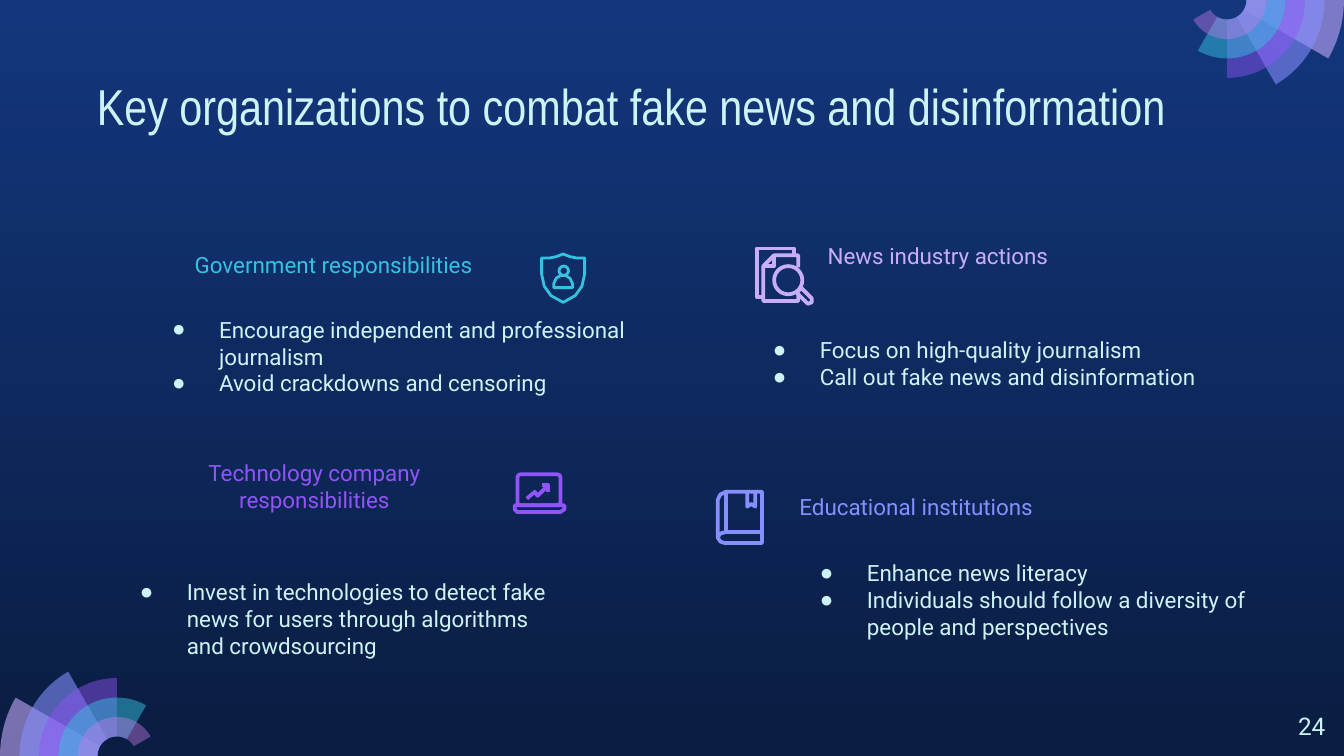
from math import cos, radians, sin

from lxml.etree import SubElement
from pptx import Presentation
from pptx.dml.color import RGBColor
from pptx.enum.shapes import MSO_SHAPE
from pptx.enum.text import MSO_ANCHOR, MSO_AUTO_SIZE, PP_ALIGN
from pptx.oxml.ns import qn
from pptx.util import Inches, Pt

WIDE = 10
TALL = WIDE * 9 / 16

PALE, TEAL, VIOLET = "CEF3F5", "35C2DF", "9154F8"
LILAC, BLUE = "C8AEF8", "878FFF"

# colour and opacity in percent, from the widest ring to the narrowest
RINGS = [("C8ACFD", 58), (BLUE, 58), (VIOLET, 46), (TEAL, 49), ("CA7BEB", 42)]

HEADS = [
    ("Government responsibilities", TEAL, (1.35, 1.77, 3.02, 0.43), PP_ALIGN.LEFT),
    ("News industry actions", LILAC, (6.06, 1.7, 2.5, 0.43), PP_ALIGN.LEFT),
    ("Technology company responsibilities", VIOLET, (1.03, 3.32, 2.62, 0.43),
     PP_ALIGN.CENTER),
    ("Educational institutions", BLUE, (5.85, 3.57, 2.3, 0.43), PP_ALIGN.LEFT),
]

LISTS = [
    ((1.03, 2.25, 3.8, 0.89),
     ["Encourage independent and professional journalism",
      "Avoid crackdowns and censoring"]),
    ((5.5, 2.4, 3.61, 0.89),
     ["Focus on high-quality journalism",
      "Call out fake news and disinformation"]),
    ((0.79, 4.2, 3.45, 0.89),
     ["Invest in technologies to detect fake news for users through "
      "algorithms and crowdsourcing"]),
    ((5.85, 4.06, 3.6, 0.89),
     ["Enhance news literacy",
      "Individuals should follow a diversity of people and perspectives"]),
]


def color(code):
    return RGBColor.from_string(code)


def place(shape, box):
    shape.left, shape.top, shape.width, shape.height = map(Inches, box)


def bullet(para):
    props = para._p.get_or_add_pPr()
    props.set("marL", str(Inches(0.5)))
    props.set("indent", str(Inches(-0.35)))
    tint = SubElement(props, qn("a:buClr"))
    SubElement(tint, qn("a:srgbClr"), val=PALE)
    SubElement(props, qn("a:buChar"), char="●")


def write(shape, box, lines, hue, size=12, face="Roboto", align=PP_ALIGN.LEFT,
          dots=False, after=0):
    place(shape, box)
    frame = shape.text_frame
    frame.word_wrap = True
    frame.auto_size = MSO_AUTO_SIZE.NONE
    frame.vertical_anchor = MSO_ANCHOR.TOP
    frame.margin_left = frame.margin_right = Inches(0.1)
    frame.margin_top = frame.margin_bottom = Inches(0.1)
    frame.text = "\n".join(lines)
    for para in frame.paragraphs:
        if dots:
            bullet(para)
        para.alignment = align
        para.space_before, para.space_after = Pt(0), Pt(after)
        font = para.font
        font.name, font.size, font.bold = face, Pt(size), False
        font.color.rgb = color(hue)


def label(slide, box, text, hue, **style):
    write(slide.shapes.add_textbox(0, 0, 0, 0), box, [text], hue, **style)


def outline(slide, points, close):
    spots = [(Inches(x), Inches(y)) for x, y in points]
    pen = slide.shapes.build_freeform(*spots[0], scale=1.0)
    pen.add_line_segments(spots[1:], close=close)
    shape = pen.convert_to_shape()
    shape.shadow.inherit = False
    return shape


def fan(slide, x, y, turn):
    """Draw ring sectors around (x, y), each 30 degrees longer than the last."""
    def arc(radius, angles):
        return [(x + radius * cos(radians(a)), y + radius * sin(radians(a)))
                for a in angles]

    core = x / 6 if x < WIDE / 2 else (WIDE - x) / 6
    for i, (hue, alpha) in enumerate(RINGS):
        angles = range(turn, turn + 30 * (i + 1) + 1, 3)
        points = arc(core * (6 - i), angles) + arc(core, reversed(angles))
        ring = outline(slide, points, True)
        ring.line.fill.background()
        ring.fill.solid()
        ring.fill.fore_color.rgb = color(hue)
        tint = ring.fill._xPr.find(".//" + qn("a:srgbClr"))
        SubElement(tint, qn("a:alpha"), val=str(alpha * 1000))


def ink(shape, hue, width):
    shape.shadow.inherit = False
    shape.fill.background()
    shape.line.color.rgb = color(hue)
    shape.line.width = Pt(width)


def stroke(slide, points, hue, close=False, width=2):
    ink(outline(slide, points, close), hue, width)


def round_box(slide, kind, box, hue, width=2):
    shape = slide.shapes.add_shape(kind, *map(Inches, box))
    ink(shape, hue, width)
    return shape


def mirror(half, axis):
    """Complete a symmetrical outline from its right half."""
    return half + [(2 * axis - x, y) for x, y in reversed(half)]


def shield(slide):
    edge = [(4.19, 1.89), (4.24, 1.91), (4.29, 1.92), (4.35, 1.92),
            (4.35, 2.04), (4.33, 2.13), (4.28, 2.2), (4.19, 2.25)]
    body = [(4.21, 2.05), (4.24, 2.07), (4.26, 2.11), (4.26, 2.14)]
    for half in (edge, body):
        stroke(slide, mirror(half, 4.19), TEAL, True, 1.5)
    round_box(slide, MSO_SHAPE.OVAL, (4.16, 1.98, 0.07, 0.07), TEAL, 1.5)


def search(slide):
    back = [(5.68, 2.21), (5.63, 2.21), (5.63, 1.85), (5.91, 1.85), (5.91, 1.9)]
    front = [(5.94, 1.99), (5.94, 1.9), (5.76, 1.9), (5.68, 1.98),
             (5.68, 2.24), (5.94, 2.24), (5.94, 2.18)]
    fold = [(5.76, 1.9), (5.76, 1.98), (5.68, 1.98)]
    for points in (back, front, fold):
        stroke(slide, points, LILAC)
    round_box(slide, MSO_SHAPE.OVAL, (5.76, 1.98, 0.21, 0.21), LILAC)
    grip = [(5.96, 2.14), (6.04, 2.22), (6.04, 2.25), (6.01, 2.26), (5.93, 2.18)]
    stroke(slide, grip, LILAC, True)


def laptop(slide):
    screen = round_box(slide, MSO_SHAPE.ROUNDED_RECTANGLE,
                       (3.85, 3.53, 0.32, 0.23), VIOLET)
    screen.adjustments[0] = 0.1
    base = [(3.83, 3.76), (4.2, 3.76), (4.2, 3.79), (4.17, 3.81),
            (3.85, 3.81), (3.83, 3.79)]
    stroke(slide, base, VIOLET, True)
    stroke(slide, [(3.92, 3.71), (3.98, 3.66), (4, 3.69), (4.08, 3.61)], VIOLET)
    stroke(slide, [(4.03, 3.61), (4.08, 3.61), (4.08, 3.66)], VIOLET)


def book(slide):
    cover = [(5.4, 3.66), (5.67, 3.66), (5.67, 4.04), (5.39, 4.04), (5.36, 4.03),
             (5.34, 4), (5.34, 3.72), (5.36, 3.68)]
    stroke(slide, cover, BLUE, True)
    spine = [(5.4, 3.66), (5.4, 3.96), (5.67, 3.96)]
    curve = [(5.34, 4), (5.36, 3.97), (5.4, 3.96)]
    ribbon = [(5.56, 3.66), (5.56, 3.77), (5.59, 3.75), (5.62, 3.77), (5.62, 3.66)]
    for points in (spine, curve, ribbon):
        stroke(slide, points, BLUE)


def paint(slide):
    fill = slide.background.fill
    fill.gradient()
    fill.gradient_angle = 270
    for stop, code in zip(fill.gradient_stops, ("13367C", "0A1D42")):
        stop.color.rgb = color(code)


def main():
    deck = Presentation()
    deck.slide_width, deck.slide_height = Inches(WIDE), Inches(TALL)
    slide = deck.slides.add_slide(deck.slide_layouts.get_by_name("Comparison"))
    paint(slide)
    fan(slide, 0.87, TALL, 180)
    fan(slide, 9.13, 0, 0)
    title, *bodies = slide.placeholders
    write(title, (0.62, 0.46, 8.43, 0.63),
          ["Key organizations to combat fake news and disinformation"],
          PALE, size=27, face="Arial Narrow")
    for text, hue, box, align in HEADS:
        label(slide, box, text, hue, align=align, after=16)
    for body, (box, lines) in zip(bodies, LISTS):
        write(body, box, lines, PALE, dots=True)
    for icon in (shield, search, laptop, book):
        icon(slide)
    label(slide, (9.36, 5.19, 0.6, 0.43), "24", PALE, size=13, align=PP_ALIGN.RIGHT)
    deck.save("out.pptx")


if __name__ == "__main__":
    main()
